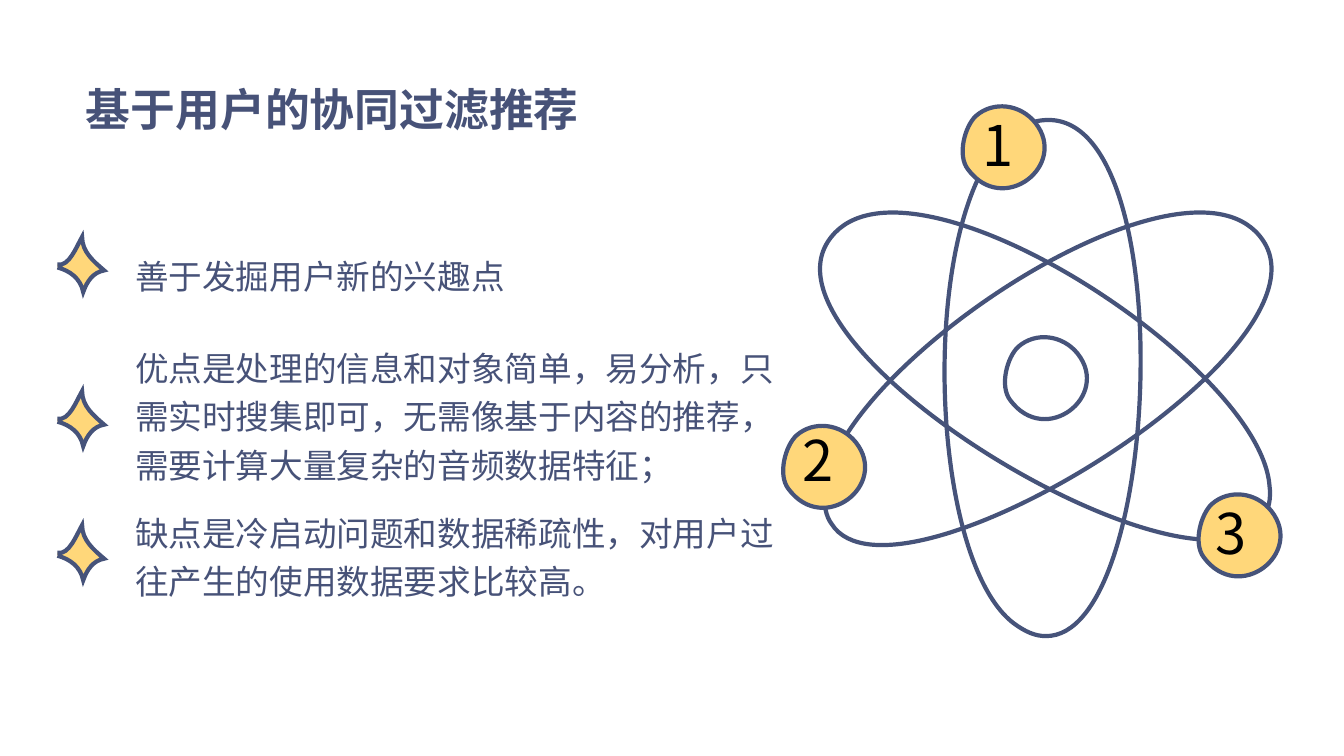
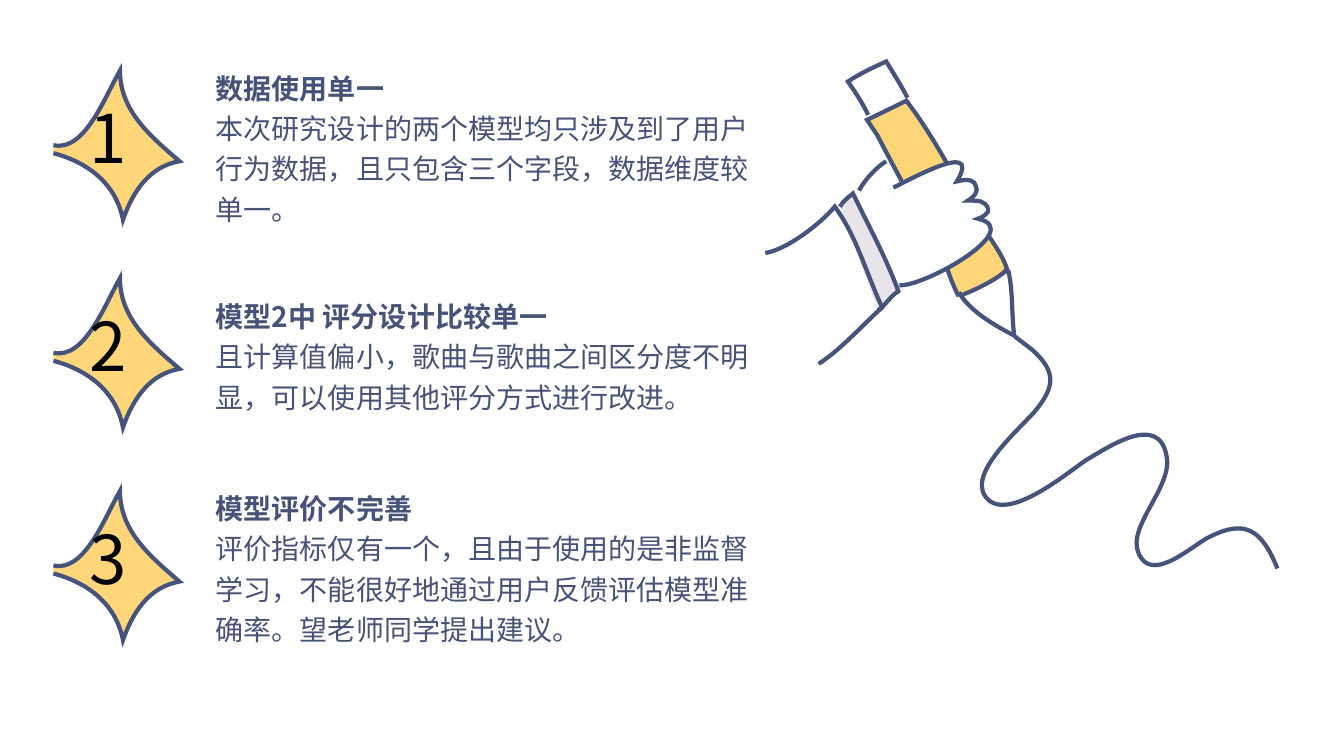
"""Builds two slides on collaborative filtering and the limits of the models."""
from dataclasses import dataclass
from typing import Optional

import lxml.etree
import pptx
import pptx.dml.color
import pptx.enum.text
import pptx.oxml.ns
import pptx.util

RGBColor = pptx.dml.color.RGBColor
Pt = pptx.util.Pt
PP_ALIGN = pptx.enum.text.PP_ALIGN
ANCHOR = pptx.enum.text.MSO_ANCHOR
qn = pptx.oxml.ns.qn

PX = 9144
STEPS = 40
FONT = "Noto Sans CJK JP"

OUTLINE = RGBColor(0x46, 0x53, 0x7A)
INK = RGBColor(0x47, 0x52, 0x78)
BLACK = RGBColor(0, 0, 0)
YELLOW = RGBColor(0xFF, 0xD7, 0x7A)
PENCIL = RGBColor(0xFD, 0xD6, 0x7A)
GLOVE = RGBColor(0xFC, 0xFD, 0xFD)
CUFF = RGBColor(0xE7, 0xE4, 0xEA)


@dataclass(frozen=True)
class Outline:
    """A start point with segments: two numbers for a line, six for a curve."""
    start: tuple
    segments: tuple
    fill: Optional[RGBColor] = None
    closed: bool = False


@dataclass(frozen=True)
class TextStyle:
    """Size, colour, weight and line pitch of a paragraph."""
    size: int
    color: RGBColor = INK
    bold: bool = False
    pitch: float = 1.44


@dataclass(frozen=True)
class Paragraph:
    """One paragraph with the space above it in points."""
    text: str
    style: TextStyle
    before: int = 0


@dataclass(frozen=True)
class Electron:
    """A numbered disk and the corner of its number."""
    left: int
    top: int
    number_left: int
    number_top: int


@dataclass(frozen=True)
class Issue:
    """A numbered remark next to a star."""
    star_top: int
    box_top: int
    box_height: int
    heading: str
    detail: str


TITLE = TextStyle(32, bold=True)
BULLET = TextStyle(24)
HEADING = TextStyle(20, bold=True)
DETAIL = TextStyle(20)
DISK_NUMBER = TextStyle(40, BLACK, pitch=1.2)
STAR_NUMBER = TextStyle(48, BLACK, pitch=1.2)

STAR = Outline((0, 74), (
    (31, 81, 51, 26, 66, 0), (66, 40, 96, 65, 125, 90),
    (96, 95, 79, 119, 69, 148), (62, 112, 34, 91, 0, 82)), YELLOW)
DISK_CURVES = ((2, 20, -6, 49, 5, 63), (40, 110, 105, 59, 72, 17),
               (57, -2, 30, -5, 13, 10))
NUCLEUS = Outline((13, 10), DISK_CURVES, closed=True)
DISK = Outline((13, 10), DISK_CURVES, YELLOW, True)

ORBITS = (
    Outline((1037, 631), (
        (1152, 633, 1172, 119, 1040, 119), (910, 119, 908, 543, 1005, 618),
        (1017, 627, 1027, 631, 1037, 631)), closed=True),
    Outline((825, 520), (
        (887, 617, 1326, 349, 1253, 239), (1181, 130, 827, 364, 818, 487),
        (817, 501, 819, 512, 825, 520)), closed=True),
    Outline((1253, 514), (
        (1192, 612, 750, 351, 821, 240), (891, 130, 1248, 358, 1259, 481),
        (1261, 495, 1258, 506, 1253, 514)), closed=True),
)
ELECTRONS = (Electron(955, 105, 965, 105), Electron(777, 422, 786, 417),
             Electron(1189, 490, 1196, 490))
SMALL_STAR_TOPS = (235, 388, 521)
BULLETS = (
    Paragraph("善于发掘用户新的兴趣点", BULLET),
    Paragraph("优点是处理的信息和对象简单，易分析，只需实时搜集即可，无需像基于内容的推荐，"
              "需要计算大量复杂的音频数据特征；", BULLET, 31),
    Paragraph("缺点是冷启动问题和数据稀疏性，对用户过往产生的使用数据要求比较高。", BULLET, 14),
)

HAND_AND_PENCIL = (
    Outline((1007, 334), (
        (1014, 340, 1018, 342, 1026, 349), (1047, 369, 1046, 383, 1029, 405),
        (1017, 421, 960, 467, 977, 492), (997, 522, 1061, 467, 1078, 456),
        (1099, 444, 1149, 409, 1157, 452), (1164, 482, 1118, 522, 1129, 548),
        (1141, 579, 1178, 545, 1197, 534), (1235, 514, 1251, 525, 1267, 564))),
    Outline((1000, 271), (
        (996, 255, 986, 243, 977, 228), (951, 185, 929, 139, 899, 100),
        (860, 119), (870, 134), (882, 157, 918, 224, 931, 247),
        (939, 262, 943, 280, 951, 294)), PENCIL),
    Outline((999, 266), ((996, 274, 965, 289, 953, 293),)),
    Outline((852, 189), ((858, 178, 869, 166, 879, 160),)),
    Outline((886, 186), (
        (889, 186, 977, 134, 949, 180), (961, 177, 967, 179, 968, 185),
        (970, 189, 968, 194, 960, 199), (971, 199, 977, 199, 980, 207),
        (982, 211, 974, 216, 970, 217), (1018, 228, 916, 285, 892, 283)), GLOVE),
    Outline((833, 205), (
        (836, 200, 842, 195, 846, 192), (862, 225, 879, 256, 891, 289),
        (883, 294, 878, 303, 871, 308)), CUFF),
    Outline((759, 251), (
        (780, 248, 814, 222, 828, 205), (850, 235, 859, 271, 875, 305),
        (855, 323, 835, 346, 812, 361))),
    Outline((900, 97), (
        (894, 85, 885, 71, 879, 61), (866, 67, 853, 73, 841, 81),
        (848, 91, 856, 103, 861, 114))),
    Outline((951, 290), (
        (962, 309, 987, 323, 1006, 333), (1003, 311, 1005, 289, 1000, 268))),
)
ISSUES = (
    Issue(70, 59, 170, "数据使用单一",
          "本次研究设计的两个模型均只涉及到了用户行为数据，且只包含三个字段，数据维度较单一。"),
    Issue(276, 286, 129, "模型2中 评分设计比较单一",
          "且计算值偏小，歌曲与歌曲之间区分度不明显，可以使用其他评分方式进行改进。"),
    Issue(487, 476, 170, "模型评价不完善",
          "评价指标仅有一个，且由于使用的是非监督学习，不能很好地通过用户反馈评估模型准确率。"
          "望老师同学提出建议。"),
)


def extent(start: float, segments: list) -> tuple:
    """Return the least and greatest value that one coordinate reaches."""
    values = [start]
    for seg in segments:
        if len(seg) == 3:
            a, (b, c, d) = values[-1], seg
            for i in range(1, STEPS):
                t = i / STEPS
                u = 1 - t
                values.append(a * u ** 3 + 3 * b * u * u * t + 3 * c * u * t * t + d * t ** 3)
        values.append(seg[-1])
    return min(values), max(values)


def draw(slide, outline: Outline, left: int = 0, top: int = 0, scale: float = 1.0) -> None:
    """Draw an outline with true curves at an offset in px."""
    x0, x1 = extent(outline.start[0], [seg[::2] for seg in outline.segments])
    y0, y1 = extent(outline.start[1], [seg[1::2] for seg in outline.segments])
    unit = scale * PX
    builder = slide.shapes.build_freeform(left * PX + x0 * unit, top * PX + y0 * unit, scale=1.0)
    builder.add_line_segments([(left * PX + x1 * unit, top * PX + y1 * unit)], close=False)
    sp = builder.convert_to_shape()
    track = sp._element.find(".//" + qn("a:path"))
    for child in list(track):
        track.remove(child)
    names = {2: "a:lnTo", 6: "a:cubicBezTo"}
    steps = [("a:moveTo", outline.start)]
    steps += [(names[len(seg)], seg) for seg in outline.segments]
    for name, seg in steps:
        step = lxml.etree.SubElement(track, qn(name))
        for x, y in zip(seg[::2], seg[1::2]):
            pt = lxml.etree.SubElement(step, qn("a:pt"))
            pt.set("x", str(round((x - x0) * unit)))
            pt.set("y", str(round((y - y0) * unit)))
    if outline.closed:
        lxml.etree.SubElement(track, qn("a:close"))
    sp.shadow.inherit = False
    if outline.fill is None:
        sp.fill.background()
    else:
        sp.fill.solid()
        sp.fill.fore_color.rgb = outline.fill
    sp.line.color.rgb = OUTLINE
    sp.line.width = Pt(3)
    miter = lxml.etree.SubElement(sp._element.spPr.find(qn("a:ln")), qn("a:miter"))
    miter.set("lim", "800000")


def place(sp, left: int, top: int, width: int, height: int) -> None:
    """Move and size a shape in px."""
    box = {"left": left, "top": top, "width": width, "height": height}
    for name, value in box.items():
        setattr(sp, name, value * PX)


def write(sp, paragraphs: tuple, anchor: ANCHOR = ANCHOR.MIDDLE,
          insets: tuple = (4, 4), wrap: bool = True) -> None:
    """Fill a shape with formatted paragraphs."""
    tf = sp.text_frame
    across, down = (v * PX for v in insets)
    frame = {"word_wrap": wrap, "auto_size": pptx.enum.text.MSO_AUTO_SIZE.NONE,
             "vertical_anchor": anchor, "margin_left": across, "margin_right": across,
             "margin_top": down, "margin_bottom": down}
    for name, value in frame.items():
        setattr(tf, name, value)
    for i, item in enumerate(paragraphs):
        p = tf.paragraphs[0] if i == 0 else tf.add_paragraph()
        style = item.style
        spacing = {"alignment": PP_ALIGN.LEFT, "line_spacing": Pt(style.size * style.pitch),
                   "space_before": Pt(item.before), "space_after": Pt(0)}
        for name, value in spacing.items():
            setattr(p, name, value)
        props = p._p.get_or_add_pPr()
        props.set("marL", "0")
        props.set("indent", "0")
        lxml.etree.SubElement(props, qn("a:buNone"))
        r = p.add_run()
        r.text = item.text
        r.font.color.rgb = style.color
        for name, value in {"name": FONT, "size": Pt(style.size), "bold": style.bold}.items():
            setattr(r.font, name, value)
        ea = lxml.etree.SubElement(r._r.get_or_add_rPr(), qn("a:ea"))
        ea.set("typeface", FONT)


def add_text(slide, box: tuple, paragraphs: tuple, **options) -> None:
    """Add a text box in px."""
    sp = slide.shapes.add_textbox(*(v * PX for v in box))
    write(sp, paragraphs, **options)


def add_number(slide, number: int, box: tuple, style: TextStyle, wrap: bool) -> None:
    """Add a large number."""
    add_text(slide, box, (Paragraph(str(number), style),),
             anchor=ANCHOR.TOP, insets=(10, 5), wrap=wrap)


def build_filtering(prs) -> None:
    """Add the slide on user-based filtering."""
    slide = prs.slides.add_slide(prs.slide_layouts[1])
    title, body = slide.placeholders
    place(title, 81, 66, 623, 73)
    write(title, (Paragraph("基于用户的协同过滤推荐", TITLE),))
    place(body, 130, 242, 646, 359)
    write(body, BULLETS, ANCHOR.TOP)
    for top in SMALL_STAR_TOPS:
        draw(slide, STAR, 57, top, 0.37)
    for orbit in ORBITS:
        draw(slide, orbit)
    draw(slide, NUCLEUS, 997, 334)
    for number, e in enumerate(ELECTRONS, 1):
        draw(slide, DISK, e.left, e.top)
        add_number(slide, number, (e.number_left, e.number_top, 46, 77), DISK_NUMBER, False)


def build_issues(prs) -> None:
    """Add the slide on the limits of the models."""
    slide = prs.slides.add_slide(prs.slide_layouts[6])
    for outline in HAND_AND_PENCIL:
        draw(slide, outline)
    for number, issue in enumerate(ISSUES, 1):
        draw(slide, STAR, 53, issue.star_top)
        add_number(slide, number, (79, issue.star_top + 21, 73, 91), STAR_NUMBER, True)
        add_text(slide, (210, issue.box_top, 542, issue.box_height),
                 (Paragraph(issue.heading, HEADING), Paragraph(issue.detail, DETAIL)))


def main() -> None:
    """Build and save the presentation."""
    prs = pptx.Presentation()
    prs.slide_width, prs.slide_height = 1333 * PX, 750 * PX
    build_filtering(prs)
    build_issues(prs)
    prs.save("out.pptx")


if __name__ == "__main__":
    main()
